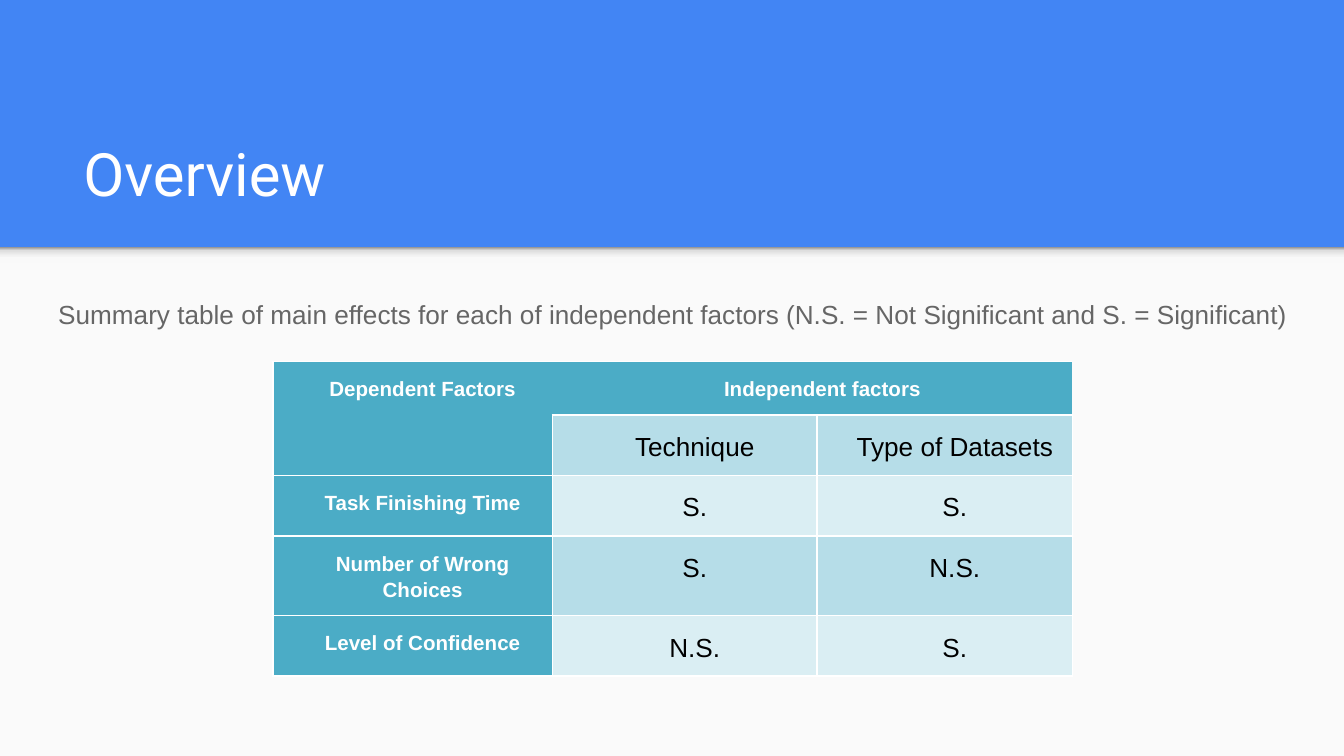
"""Build the Overview slide with a summary table of main effects."""
from lxml import etree
from pptx import Presentation
from pptx.dml.color import RGBColor
from pptx.enum.shapes import MSO_SHAPE
from pptx.enum.text import MSO_ANCHOR, PP_ALIGN
from pptx.oxml import parse_xml
from pptx.oxml.ns import qn
from pptx.util import Inches, Pt

RECT = MSO_SHAPE.RECTANGLE
LEFT, CENTER = PP_ALIGN.LEFT, PP_ALIGN.CENTER
TOP, BOTTOM = MSO_ANCHOR.TOP, MSO_ANCHOR.BOTTOM

COLORS = {
    "blue": "4285F4", "paper": "FAFAFA", "white": "FFFFFF", "black": "000000",
    "gray": "666666", "teal": "4BACC6", "band": "B6DDE8", "pale": "DAEEF3",
}
TITLE = "Overview"
CAPTION = ("Summary table of main effects for each of independent factors "
           "(N.S. = Not Significant and S. = Significant)")
ROWS = [
    ["Dependent Factors", "Independent factors", ""],
    ["", "Technique", "Type of Datasets"],
    ["Task Finishing Time", "S.", "S."],
    ["Number of Wrong Choices", "S.", "N.S."],
    ["Level of Confidence", "N.S.", "S."],
]
COL_WIDTHS = [2.08, 1.97, 1.9]
ROW_HEIGHTS = [0.39, 0.45, 0.45, 0.59, 0.45]
SHADOW_STOPS = [(0, "F9F9F9"), (36, "F9F9F9"), (80, "DEDEDE"), (100, "999999")]
SHADOW_ANGLE = 270
BORDERS = {"l": "a:lnL", "r": "a:lnR", "t": "a:lnT", "b": "a:lnB"}
NO_STYLE = "{2D5ABB26-0587-4C30-8999-92F81FD0307C}"
A_NS = "http://schemas.openxmlformats.org/drawingml/2006/main"


def rgb(name):
    return RGBColor.from_string(COLORS[name])


def set_font(p, face, size, color, bold=False):
    p.font.name, p.font.size, p.font.bold = face, Pt(size), bold
    p.font.color.rgb = rgb(color)


def set_frame(tf, anchor):
    tf.word_wrap = True
    tf.vertical_anchor = anchor
    tf.margin_left = tf.margin_right = Inches(0.1)
    tf.margin_top = tf.margin_bottom = Inches(0.1)


def add_panel(s, top, height):
    sp = s.shapes.add_shape(RECT, 0, Inches(top), Inches(10), height)
    sp.shadow.inherit = False
    sp.line.fill.background()
    sp.fill.solid()
    sp.fill.fore_color.rgb = rgb("paper")
    return sp


def set_gradient(sp, stops, angle):
    gs = "".join(f'<a:gs pos="{pos * 1000}"><a:srgbClr val="{color}"/></a:gs>'
                 for pos, color in stops)
    grad = parse_xml(f'<a:gradFill xmlns:a="{A_NS}"><a:gsLst>{gs}</a:gsLst>'
                     f'<a:lin ang="{angle * 60000}" scaled="0"/></a:gradFill>')
    sp_pr = sp._element.spPr
    sp_pr.replace(sp_pr.find(qn("a:solidFill")), grad)


def cell_sides(row, col):
    if row == 0:
        return {0: "ltb", 1: "tb", 2: "rtb"}[col]
    return "lb" if (row, col) == (1, 0) else "lrtb"


def add_borders(cell, sides):
    tc_pr = cell._tc.get_or_add_tcPr()
    for i, side in enumerate(sides):
        ln = etree.Element(qn(BORDERS[side]), w=str(Pt(1)))
        fill = etree.SubElement(ln, qn("a:solidFill"))
        etree.SubElement(fill, qn("a:srgbClr"), val=COLORS["white"])
        tc_pr.insert(i, ln)


def format_cell(cell, text, row, col):
    header = row == 0 or col == 0
    cell.fill.solid()
    cell.fill.fore_color.rgb = rgb("teal" if header else "band" if row % 2 else "pale")
    add_borders(cell, cell_sides(row, col))
    cell.margin_left = cell.margin_right = Inches(0.07)
    cell.margin_top = cell.margin_bottom = Inches(0.1)
    p = cell.text_frame.paragraphs[0]
    p.text = text
    p.alignment, p.line_spacing = CENTER, 1.15
    p._p.get_or_add_pPr().set("marL", str(Inches(0.15)))
    if header:
        set_font(p, "Arial", 11, "white", True)
    else:
        set_font(p, "Arial", 14, "black")


def add_summary_table(s):
    frame = s.shapes.add_table(
        len(ROWS), len(COL_WIDTHS), Inches(2.03), Inches(2.69),
        Inches(sum(COL_WIDTHS)), Inches(sum(ROW_HEIGHTS)))
    table = frame.table
    table._tbl.tblPr.find(qn("a:tableStyleId")).text = NO_STYLE
    for column, width in zip(table.columns, COL_WIDTHS):
        column.width = Inches(width)
    for row, height in zip(table.rows, ROW_HEIGHTS):
        row.height = Inches(height)
    for r, texts in enumerate(ROWS):
        for c, text in enumerate(texts):
            format_cell(table.cell(r, c), text, r, c)
    table.cell(0, 0).merge(table.cell(1, 0))
    table.cell(0, 1).merge(table.cell(0, 2))


def main():
    prs = Presentation()
    prs.slide_width = Inches(10)
    prs.slide_height = prs.slide_width * 9 // 16
    s = prs.slides.add_slide(prs.slide_layouts[5])
    s.background.fill.solid()
    s.background.fill.fore_color.rgb = rgb("blue")

    add_panel(s, 1.84, prs.slide_height - Inches(1.84))
    set_gradient(add_panel(s, 1.84, Inches(0.12)), SHADOW_STOPS, SHADOW_ANGLE)

    title = s.shapes.title
    title.left, title.top = Inches(0.52), Inches(0.81)
    title.width, title.height = Inches(8.99), Inches(0.84)
    set_frame(title.text_frame, BOTTOM)
    p = title.text_frame.paragraphs[0]
    p.text, p.alignment = TITLE, LEFT
    set_font(p, "Roboto", 32, "white")

    add_summary_table(s)

    caption = s.shapes.add_textbox(Inches(0.05), Inches(2.12), Inches(9.92), Inches(0.45))
    set_frame(caption.text_frame, TOP)
    p = caption.text_frame.paragraphs[0]
    p.text, p.alignment = CAPTION, CENTER
    set_font(p, "Arial", 14, "gray")

    prs.save("out.pptx")


if __name__ == "__main__":
    main()
